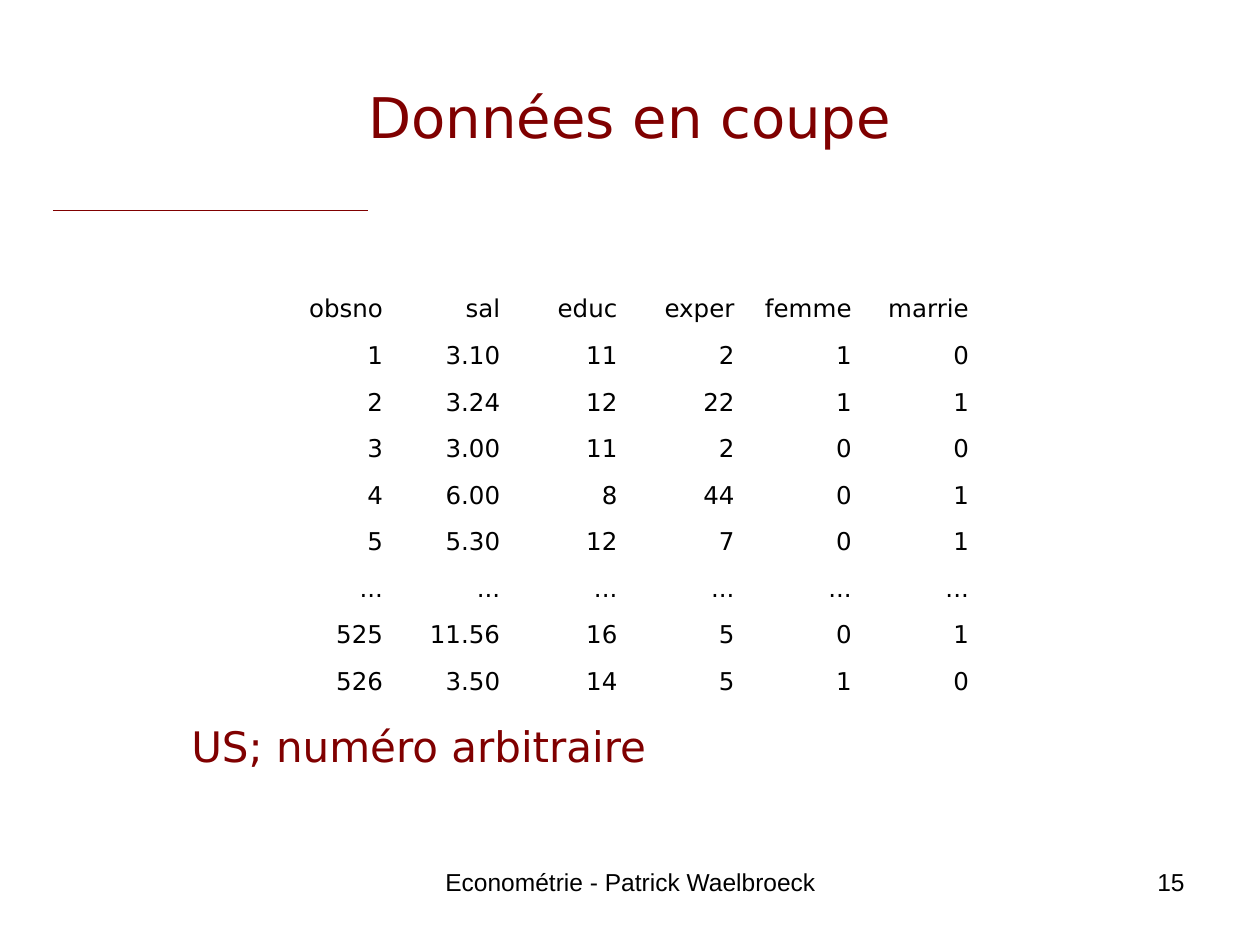
from pptx import Presentation
from pptx.dml.color import RGBColor
from pptx.enum.shapes import MSO_CONNECTOR
from pptx.enum.text import MSO_ANCHOR, PP_ALIGN
from pptx.oxml.ns import qn
from pptx.util import Inches, Pt
from lxml.etree import SubElement

MAROON = RGBColor(0x80, 0x00, 0x00)
BLACK = RGBColor(0x00, 0x00, 0x00)


def write_text(frame, text, size=14, font="DejaVu Sans", color=BLACK,
               align=PP_ALIGN.LEFT):
    frame.word_wrap = True
    paragraph = frame.paragraphs[0]
    paragraph.alignment = align
    run = paragraph.add_run()
    run.text = text
    run.font.size = Pt(size)
    run.font.name = font
    run.font.color.rgb = color


presentation = Presentation()
presentation.slide_width = Inches(10)
presentation.slide_height = Inches(7.5)
slide = presentation.slides.add_slide(presentation.slide_layouts[6])

title = slide.shapes.add_textbox(Inches(0.5), Inches(0.3), Inches(9), Inches(1.25))
title.text_frame.vertical_anchor = MSO_ANCHOR.MIDDLE
write_text(title.text_frame, "Données en coupe", size=32, color=MAROON,
           align=PP_ALIGN.CENTER)

rule = slide.shapes.add_connector(MSO_CONNECTOR.STRAIGHT, Inches(0.42), Inches(1.67),
                                  Inches(2.92), Inches(1.67))
rule.line.color.rgb = MAROON
rule.line.width = Pt(0.75)
SubElement(rule.element.spPr, qn("a:effectLst"))

observations = [
    ["obsno", "sal", "educ", "exper", "femme", "marrie"],
    ["1", "3.10", "11", "2", "1", "0"],
    ["2", "3.24", "12", "22", "1", "1"],
    ["3", "3.00", "11", "2", "0", "0"],
    ["4", "6.00", "8", "44", "0", "1"],
    ["5", "5.30", "12", "7", "0", "1"],
    ["..."] * 6,
    ["525", "11.56", "16", "5", "0", "1"],
    ["526", "3.50", "14", "5", "1", "0"],
]
row_count, column_count = len(observations), len(observations[0])
table = slide.shapes.add_table(
    row_count, column_count, Inches(2.21), Inches(2.25),
    Inches(0.93 * column_count), Inches(0.37 * row_count)).table
table.first_row = False
table.horz_banding = False
for row_index, observation in enumerate(observations):
    for column_index, value in enumerate(observation):
        cell = table.cell(row_index, column_index)
        cell.fill.background()
        cell.vertical_anchor = MSO_ANCHOR.BOTTOM
        write_text(cell.text_frame, value, align=PP_ALIGN.RIGHT)

note = slide.shapes.add_textbox(Inches(1.42), Inches(5.67), Inches(6.17), Inches(0.5))
write_text(note.text_frame, "US; numéro arbitraire", size=24, color=MAROON)

footer = slide.shapes.add_textbox(Inches(3.42), Inches(6.83), Inches(3.17), Inches(0.52))
write_text(footer.text_frame, "Econométrie - Patrick Waelbroeck", font="Arial",
           align=PP_ALIGN.CENTER)

page_number = slide.shapes.add_textbox(Inches(7.17), Inches(6.83), Inches(2.33), Inches(0.52))
write_text(page_number.text_frame, "15", font="Arial", align=PP_ALIGN.RIGHT)

presentation.save("out.pptx")
